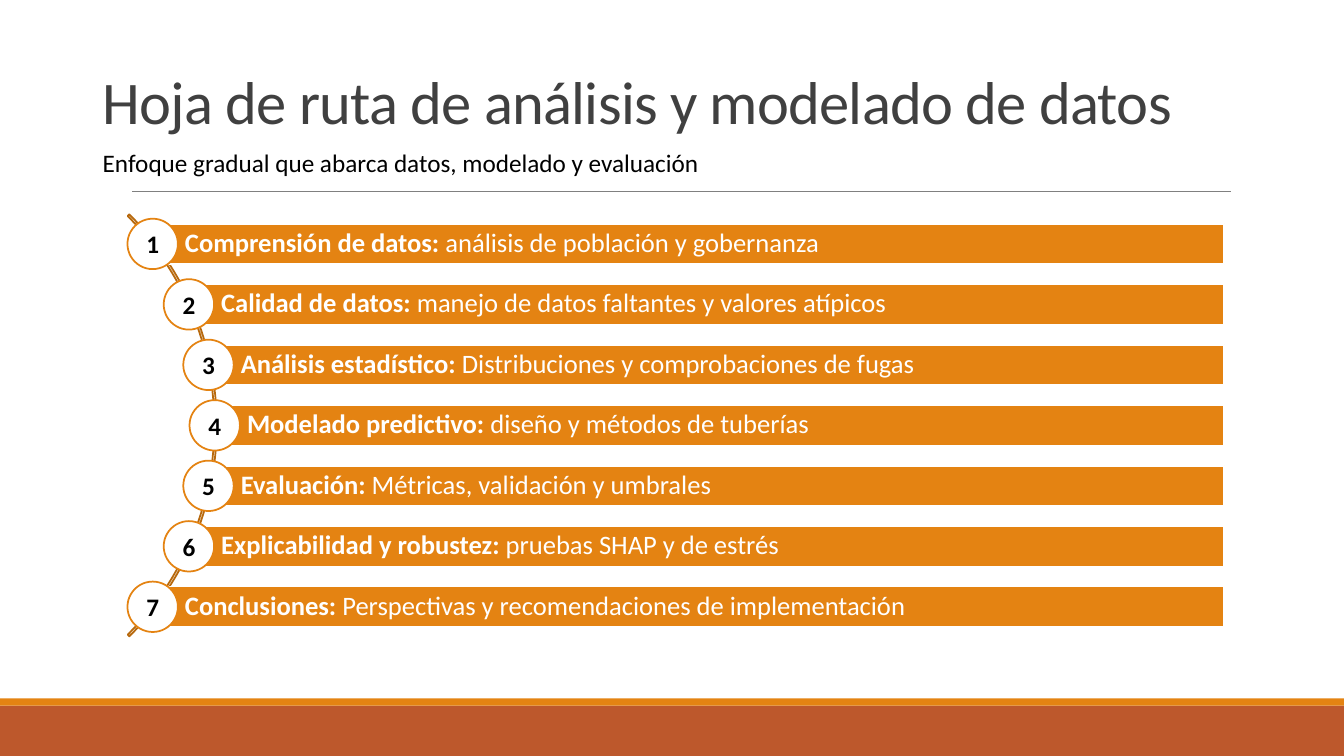
from math import sqrt

from lxml import etree
from pptx import Presentation
from pptx.dml.color import RGBColor
from pptx.enum.shapes import MSO_CONNECTOR, MSO_SHAPE
from pptx.enum.text import MSO_ANCHOR, PP_ALIGN
from pptx.oxml.ns import qn
from pptx.util import Inches, Pt

RECTANGLE, OVAL, ARC = MSO_SHAPE.RECTANGLE, MSO_SHAPE.OVAL, MSO_SHAPE.BLOCK_ARC
STRAIGHT = MSO_CONNECTOR.STRAIGHT
TOP, MIDDLE, BOTTOM = MSO_ANCHOR.TOP, MSO_ANCHOR.MIDDLE, MSO_ANCHOR.BOTTOM
LEFT, CENTER = PP_ALIGN.LEFT, PP_ALIGN.CENTER

FONT = "Calibri"
ORANGE, RUST, BROWN = "E48312", "BD582C", "B7690E"
WHITE, BLACK, CHARCOAL, GRAY = "FFFFFF", "000000", "404040", "808080"

STEPS = [
    ("Comprensión de datos: ", "análisis de población y gobernanza"),
    ("Calidad de datos: ", "manejo de datos faltantes y valores atípicos"),
    ("Análisis estadístico: ", "Distribuciones y comprobaciones de fugas"),
    ("Modelado predictivo: ", "diseño y métodos de tuberías"),
    ("Evaluación: ", "Métricas, validación y umbrales"),
    ("Explicabilidad y robustez: ", "pruebas SHAP y de estrés"),
    ("Conclusiones: ", "Perspectivas y recomendaciones de implementación"),
]


def rgb(value):
    """Turn a hex string into a colour."""
    return RGBColor.from_string(value)


def add_box(slide, kind, box, fill=None, line=None):
    """Add a preset shape with a plain fill and outline."""
    shape = slide.shapes.add_shape(kind, *map(Inches, box))
    shape.shadow.inherit = False
    if fill:
        shape.fill.solid()
        shape.fill.fore_color.rgb = rgb(fill)
    else:
        shape.fill.background()
    if line:
        shape.line.color.rgb = rgb(line)
        shape.line.width = Pt(1.25)
    else:
        shape.line.fill.background()
    return shape


def write(shape, runs, size, color, anchor=TOP, align=LEFT, spacing=None,
          tracking=0, insets=(0.1, 0.05, 0.1, 0.05), wrap=True):
    """Write (text, bold) runs as one formatted paragraph of a shape."""
    frame = shape.text_frame
    frame.word_wrap = wrap
    frame.vertical_anchor = anchor
    (frame.margin_left, frame.margin_top,
     frame.margin_right, frame.margin_bottom) = map(Inches, insets)
    paragraph = frame.paragraphs[0]
    paragraph.alignment = align
    paragraph.line_spacing = spacing
    for text, bold in runs:
        run = paragraph.add_run()
        run.text = text
        run.font.name = FONT
        run.font.size = Pt(size)
        run.font.bold = bold
        run.font.color.rgb = rgb(color)
        if tracking:
            run.font._element.set("spc", str(round(tracking * 100)))


def draw_footer(slide, box):
    """Draw the footer band with a thin stripe along its top."""
    left, top, width, height = box
    stripe = 0.07
    add_box(slide, RECTANGLE, (left, top + stripe, width, height - stripe), RUST)
    add_box(slide, RECTANGLE, (left, top, width, stripe), ORANGE)


def draw_header(slide, box):
    """Draw the title, the subtitle and the rule below them."""
    left, top, width, height = box
    title = slide.shapes.add_textbox(*map(Inches, (left, top, width, 1.01)))
    write(title, [("Hoja de ruta de análisis y modelado de datos", False)], 43.2,
          CHARCOAL, anchor=BOTTOM, spacing=0.85, tracking=-0.5)
    subtitle = slide.shapes.add_textbox(*map(Inches, (left, top + 1.01, 7.69, 0.4)))
    write(subtitle, [("Enfoque gradual que abarca datos, modelado y evaluación", False)],
          18, BLACK)
    start, bottom = left + 0.39, top + height
    rule = slide.shapes.add_connector(
        STRAIGHT, *map(Inches, (start, bottom, start + 10.9, bottom)))
    rule.line.color.rgb = rgb(GRAY)
    rule.line.width = Pt(0.5)
    etree.SubElement(rule._element.spPr, qn("a:effectLst"))


def draw_roadmap(slide, box):
    """Draw numbered bars whose left ends follow an arc."""
    left, top, width, height = box
    right = left + width
    radius, bar_height, badge = 2.94, 0.4, 0.5
    pitch = (height - bar_height) / (len(STEPS) - 1)
    center_x, center_y = left - 2.32, top + height / 2
    outer = radius + 0.02
    arc = add_box(slide, ARC, (center_x - outer, center_y - outer, 2 * outer, 2 * outer),
                  line=BROWN)
    for index, value in enumerate((189, 27, 0.004)):
        arc.adjustments[index] = value

    for index, (heading, detail) in enumerate(STEPS):
        y = top + bar_height / 2 + index * pitch
        x = center_x + sqrt(radius ** 2 - (y - center_y) ** 2)
        bar = add_box(slide, RECTANGLE, (x, y - bar_height / 2, right - x, bar_height),
                      ORANGE, WHITE)
        write(bar, [(heading, True), (detail, False)], 19, WHITE, anchor=MIDDLE,
              spacing=0.9, insets=(0.32, 0.05, 0.05, 0.05))
        circle = add_box(slide, OVAL, (x - badge / 2, y - badge / 2, badge, badge),
                         WHITE, ORANGE)
        write(circle, [(str(index + 1), True)], 18, BLACK, anchor=MIDDLE,
              align=CENTER, insets=(0, 0, 0, 0), wrap=False)


def main():
    """Build and save the slide."""
    presentation = Presentation()
    presentation.slide_width = Inches(13.33)
    presentation.slide_height = Inches(7.5)
    slide = presentation.slides.add_slide(presentation.slide_layouts[6])
    draw_footer(slide, (0, 6.93, 13.33, 0.57))
    draw_header(slide, (0.92, 0.4, 11.5, 1.5))
    draw_roadmap(slide, (1.51, 2.22, 10.63, 4))
    presentation.save("out.pptx")


if __name__ == "__main__":
    main()
